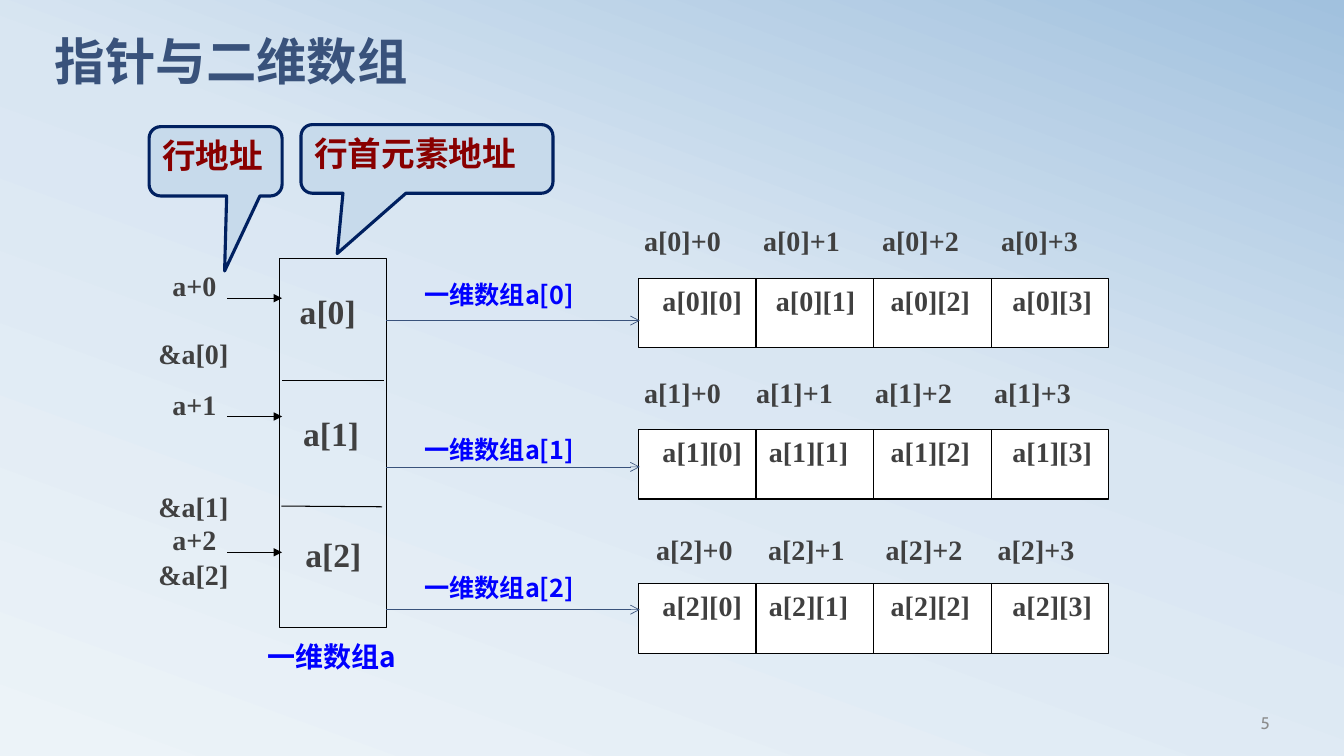
from copy import deepcopy

from pptx import Presentation
from pptx import util as u
from pptx.dml.color import RGBColor
from pptx.enum import shapes, text
from pptx.oxml import ns
from lxml import etree

SERIF, SANS, TITLE = "Times New Roman", "Noto Sans CJK SC", "Cabin"
BLACK, GREY, BLUE, NAVY, RED, SLATE = (
    "000000", "404040", "0000FF", "002060", "880000", "39527B")

# For each array row: top edges and the tab stops of its four columns
ROWS = [
    dict(cells=199, cell_stops=(81, 163, 250), sums=(453, 156), sum_stops=(85, 170, 255),
         name=(207, 204.5), label=196, pointer=188, gap=25, short=213, long=229),
    dict(cells=307, cell_stops=(76, 163, 250), sums=(453, 265), sum_stops=(80, 165, 250),
         name=(209.5, 291.5), label=307, pointer=273, gap=49, short=297.5, long=333.5),
    dict(cells=417, cell_stops=(76, 163, 250), sums=(461.5, 376.5), sum_stops=(80, 164, 244),
         name=(211, 377.5), label=405, pointer=370, gap=1, short=394.5, long=435.5),
]


def colour(value):
    return RGBColor.from_string(value)


def sub(parent, tag, **attributes):
    """Append an XML child such as a:tab and return it."""
    return etree.SubElement(parent, ns.qn(tag), attributes)


class Diagram:
    def __init__(self, deck):
        self.page = deck.slides.add_slide(deck.slide_layouts[5])

    def background(self, stops, angle):
        fill = self.page.background.fill
        fill.gradient()
        fill.gradient_angle = angle
        stop_list = self.page.element.find(".//" + ns.qn("a:gsLst"))
        stop_list.append(deepcopy(stop_list[-1]))
        for stop, (position, value) in zip(fill.gradient_stops, stops):
            stop.position = position
            stop.color.rgb = colour(value)

    def put_text(self, box, lines, size, font, ink, bold=True, inset=7.2,
                 stops=(), align=text.PP_ALIGN.LEFT, anchor=text.MSO_ANCHOR.TOP):
        """Fill a box with lines, each a string or (string, paragraph formats)."""
        frame = box.text_frame
        formats = dict(word_wrap=True, auto_size=text.MSO_AUTO_SIZE.NONE,
                       vertical_anchor=anchor, margin_left=u.Pt(inset),
                       margin_right=u.Pt(7.2), margin_top=u.Pt(3.6),
                       margin_bottom=u.Pt(3.6))
        for name, value in formats.items():
            setattr(frame, name, value)
        for index, line in enumerate(lines):
            words, extra = line if isinstance(line, tuple) else (line, {})
            para = frame.add_paragraph() if index else frame.paragraphs[0]
            for name, value in {"alignment": align, **extra}.items():
                setattr(para, name, value)
            span = para.add_run()
            span.text = words
            for name, value in dict(size=u.Pt(size), name=font, bold=bold).items():
                setattr(span.font, name, value)
            span.font.color.rgb = colour(ink)
            sub(span.font._element, "a:ea", typeface=SANS)
            if stops:
                tabs = sub(para._p.get_or_add_pPr(), "a:tabLst")
                for stop in stops:
                    sub(tabs, "a:tab", pos=str(u.Pt(stop)), algn="l")

    def title(self, words, left, top, width, height):
        box = self.page.shapes.title
        place = dict(left=left, top=top, width=width, height=height)
        for name, value in place.items():
            setattr(box, name, u.Pt(value))
        self.put_text(box, [(words, dict(line_spacing=0.8))], 36, TITLE, SLATE)

    def label(self, lines, left, top, width, height, size, font, ink, **style):
        box = self.page.shapes.add_textbox(*map(u.Pt, (left, top, width, height)))
        self.put_text(box, lines, size, font, ink, **style)

    def shape(self, kind, left, top, width, height, fill=None, line=BLACK, weight=0.75):
        shape = self.page.shapes.add_shape(kind, *map(u.Pt, (left, top, width, height)))
        shape.shadow.inherit = False
        if fill:
            shape.fill.solid()
            shape.fill.fore_color.rgb = colour(fill)
        else:
            shape.fill.background()
        shape.line.color.rgb = colour(line)
        shape.line.width = u.Pt(weight)
        return shape

    def callout(self, words, left, top, width, height, tip):
        shape = self.shape(shapes.MSO_SHAPE.ROUNDED_RECTANGULAR_CALLOUT, left, top,
                           width, height, "C7DAEB", NAVY, 2.25)
        for index, value in enumerate((*tip, 0.167)):
            shape.adjustments[index] = value
        self.put_text(shape, [words], 24, SANS, RED)

    def line(self, x1, y1, x2, y2, ink=BLACK, weight=0.75, head=None):
        line = self.page.shapes.add_connector(
            shapes.MSO_CONNECTOR.STRAIGHT, *map(u.Pt, (x1, y1, x2, y2)))
        line.line.color.rgb = colour(ink)
        line.line.width = u.Pt(weight)
        if head:
            sub(line.line._get_or_add_ln(), "a:tailEnd", type=head)
        sub(line._element.spPr, "a:effectLst")

    def cells(self, words, top, stops, left=456, column=84, height=49.5):
        """Draw a four-cell array row with its element names."""
        row = self.shape(shapes.MSO_SHAPE.RECTANGLE, left, top, 4 * column, height, "FFFFFF")
        self.put_text(row, [words], 20, SERIF, GREY, inset=17.2, stops=stops)
        for index in range(1, 4):
            x = left + index * column
            self.line(x, top, x, top + height)

    def array_row(self, i, row):
        """Draw everything that belongs to row i of the two-dimensional array."""
        self.cells("\t".join(f"a[{i}][{j}]" for j in range(4)), row["cells"], row["cell_stops"])
        self.label(["\t".join(f"a[{i}]+{j}" for j in range(4))], *row["sums"], 325, 49,
                   20, SERIF, GREY, stops=row["sum_stops"])
        self.label([f"a[{i}]"], *row["name"], 78, 49, 24, SERIF, GREY)
        self.label([f"一维数组a[{i}]"], 296, row["label"], 135, 27, 18, SANS, BLUE)
        self.label([f"a+{i}", (f"&a[{i}]", dict(space_before=u.Pt(row["gap"])))],
                   106, row["pointer"], 117, 82, 20, SERIF, GREY)
        first = self.page.shapes[-1].text_frame.paragraphs[0]
        first._p.get_or_add_pPr().set("marL", str(u.Pt(10)))
        self.line(162.5, row["short"], 201.5, row["short"], head="triangle")
        self.line(276, row["long"], 457, row["long"], SLATE, 0.5, "arrow")


def main():
    deck = Presentation()
    deck.slide_width, deck.slide_height = u.Pt(960), u.Pt(540)
    diagram = Diagram(deck)
    diagram.background([(0, "ECF3F8"), (0.58, "D9E6F2"), (1, "A1C1DE")], 70)
    diagram.title("指针与二维数组", 32, 26, 864, 68)
    diagram.label(["5"], 690, 502, 224, 29, 12, TITLE, "8C8C8C", bold=False,
                  align=text.PP_ALIGN.RIGHT, anchor=text.MSO_ANCHOR.MIDDLE)
    diagram.shape(shapes.MSO_SHAPE.RECTANGLE, 199.5, 185, 76.5, 263)
    diagram.line(201.5, 271.5, 274, 271.5)
    diagram.line(201, 361.5, 273, 362)
    diagram.label(["一维数组a"], 184, 453.5, 125, 32, 20, SANS, BLUE)
    diagram.callout("行地址", 106.5, 90.5, 95, 49.5, (0.068, 1.583))
    diagram.callout("行首元素地址", 215, 89, 180, 49, (-0.356, 1.379))
    for i, row in enumerate(ROWS):
        diagram.array_row(i, row)
    deck.save("out.pptx")


if __name__ == "__main__":
    main()
